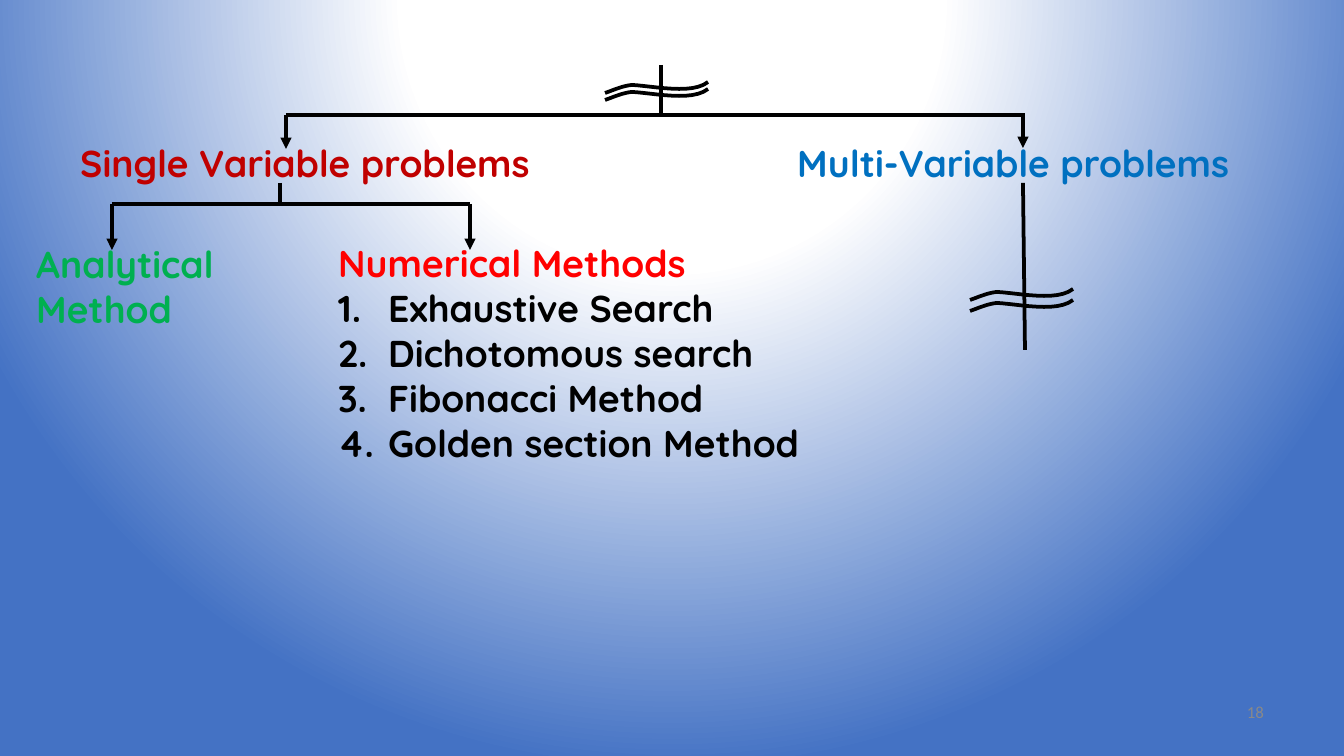
from dataclasses import dataclass
from typing import Any

from pptx import Presentation
from pptx import util as u
from pptx.dml.color import RGBColor
from pptx.enum import shapes, text
from pptx.oxml import parse_xml
from pptx.oxml.ns import nsdecls, qn
from pptx.oxml.xmlchemy import OxmlElement

SCALE = 914400 / 134.4
BLACK = RGBColor(0x00, 0x00, 0x00)
WHITE = RGBColor(0xFF, 0xFF, 0xFF)
BLUE = RGBColor(0x44, 0x72, 0xC4)
CRIMSON = RGBColor(0xC0, 0x00, 0x00)
SKY = RGBColor(0x00, 0x70, 0xC0)
GREEN = RGBColor(0x00, 0xB0, 0x50)
RED = RGBColor(0xFF, 0x00, 0x00)
GRAY = RGBColor(0x89, 0x89, 0x89)

WAVE_START = (0, 11)
WAVE_CURVES = [((9, 8), (17, 4), (27, 3)), ((48, 4), (87, 13), (103, 0))]
WAVE_STEPS = 12
BREAKS = [(605, 82), (605, 89), (970, 289), (970, 300)]
LINES = [
    (661, 65, 661, 115), (286, 115, 1025, 115), (280, 183, 280, 204),
    (112, 204, 470, 204), (1023, 183, 1025, 350),
]
ARROWS = [(286, 115, 286, 149), (112, 204, 112, 250), (470, 204, 470, 250), (1023, 114, 1023, 148)]
METHODS = ["Exhaustive Search", "Dichotomous search", "Fibonacci Method", "Golden section Method"]


def px(value):
    return u.Emu(round(value * SCALE))


def bezier(start, first, second, end, t):
    weights = ((1 - t) ** 3, 3 * t * (1 - t) ** 2, 3 * t * t * (1 - t), t ** 3)
    points = (start, first, second, end)
    return tuple(sum(w * p[axis] for w, p in zip(weights, points)) for axis in (0, 1))


@dataclass
class Diagram:
    """Draws styled elements on one slide."""

    page: Any
    font: str = "Quicksand"
    size: int = 20
    stroke: int = 2

    def background(self, stops):
        marks = "".join(
            f'<a:gs pos="{percent * 1000}"><a:srgbClr val="{color}"/></a:gs>' for percent, color in stops
        )
        self.page.element.cSld.insert(0, parse_xml(
            f'<p:bg {nsdecls("p", "a")}><p:bgPr><a:gradFill rotWithShape="1"><a:gsLst>{marks}</a:gsLst>'
            '<a:path path="circle"><a:fillToRect l="50000" t="-80000" r="50000" b="180000"/></a:path>'
            '</a:gradFill><a:effectLst/></p:bgPr></p:bg>'
        ))

    def outline(self, shape):
        shape.line.color.rgb = BLACK
        shape.line.width = u.Pt(self.stroke)

    def line(self, ends, arrow=False):
        connector = self.page.shapes.add_connector(shapes.MSO_CONNECTOR.STRAIGHT, *map(px, ends))
        self.outline(connector)
        properties = connector.element.spPr
        if arrow:
            head = OxmlElement("a:tailEnd")
            head.set("type", "triangle")
            properties.find(qn("a:ln")).append(head)
        properties.append(OxmlElement("a:effectLst"))

    def wave(self, left, top):
        points, start = [], WAVE_START
        for curve in WAVE_CURVES:
            points += [bezier(start, *curve, step / WAVE_STEPS) for step in range(1, WAVE_STEPS + 1)]
            start = curve[-1]
        place = lambda point: (px(left + point[0]), px(top + point[1]))
        builder = self.page.shapes.build_freeform(*place(WAVE_START))
        builder.add_line_segments([place(point) for point in points], close=False)
        shape = builder.convert_to_shape()
        shape.shadow.inherit = False
        shape.fill.background()
        self.outline(shape)

    def label(self, bounds, rows, wrap=True, indent=0, align=text.PP_ALIGN.LEFT, **style):
        box = self.page.shapes.add_textbox(*map(px, bounds))
        frame = box.text_frame
        frame.word_wrap = wrap
        frame.auto_size = text.MSO_AUTO_SIZE.SHAPE_TO_FIT_TEXT
        for index, (words, color, numbered) in enumerate(rows):
            para = frame.paragraphs[0] if index == 0 else frame.add_paragraph()
            para.alignment = align
            if indent:
                properties = para._p.get_or_add_pPr()
                properties.set("marL", str(px(indent)))
                properties.set("indent", str(px(-indent)))
            if numbered:
                bullet = OxmlElement("a:buAutoNum")
                bullet.set("type", "arabicPeriod")
                properties.append(bullet)
            span = para.add_run()
            span.text = words
            span.font.color.rgb = color
            values = {"name": self.font, "size": u.Pt(self.size), "bold": True} | style
            for name, value in values.items():
                setattr(span.font, name, value)


def main():
    deck = Presentation()
    deck.slide_width, deck.slide_height = px(1344), px(756)
    diagram = Diagram(deck.slides.add_slide(deck.slide_layouts[6]))
    diagram.background([(0, WHITE), (35, WHITE), (100, BLUE)])
    for ends in LINES:
        diagram.line(ends)
    for ends in ARROWS:
        diagram.line(ends, arrow=True)
    for corner in BREAKS:
        diagram.wave(*corner)
    diagram.label((67, 134, 484, 59), [("Single Variable problems", CRIMSON, False)], wrap=False)
    diagram.label((784, 134, 465, 59), [("Multi-Variable problems", SKY, False)], wrap=False)
    diagram.label((23, 235, 258, 103), [("Analytical Method", GREEN, False)])
    steps = [(method, BLACK, True) for method in METHODS]
    diagram.label((325, 234, 582, 285), [("Numerical Methods", RED, False), *steps], indent=50)
    diagram.label((1100, 695, 177, 36), [("18", GRAY, False)], align=text.PP_ALIGN.RIGHT,
                  name="Calibri", size=u.Pt(9), bold=False)
    deck.save("out.pptx")


if __name__ == "__main__":
    main()
